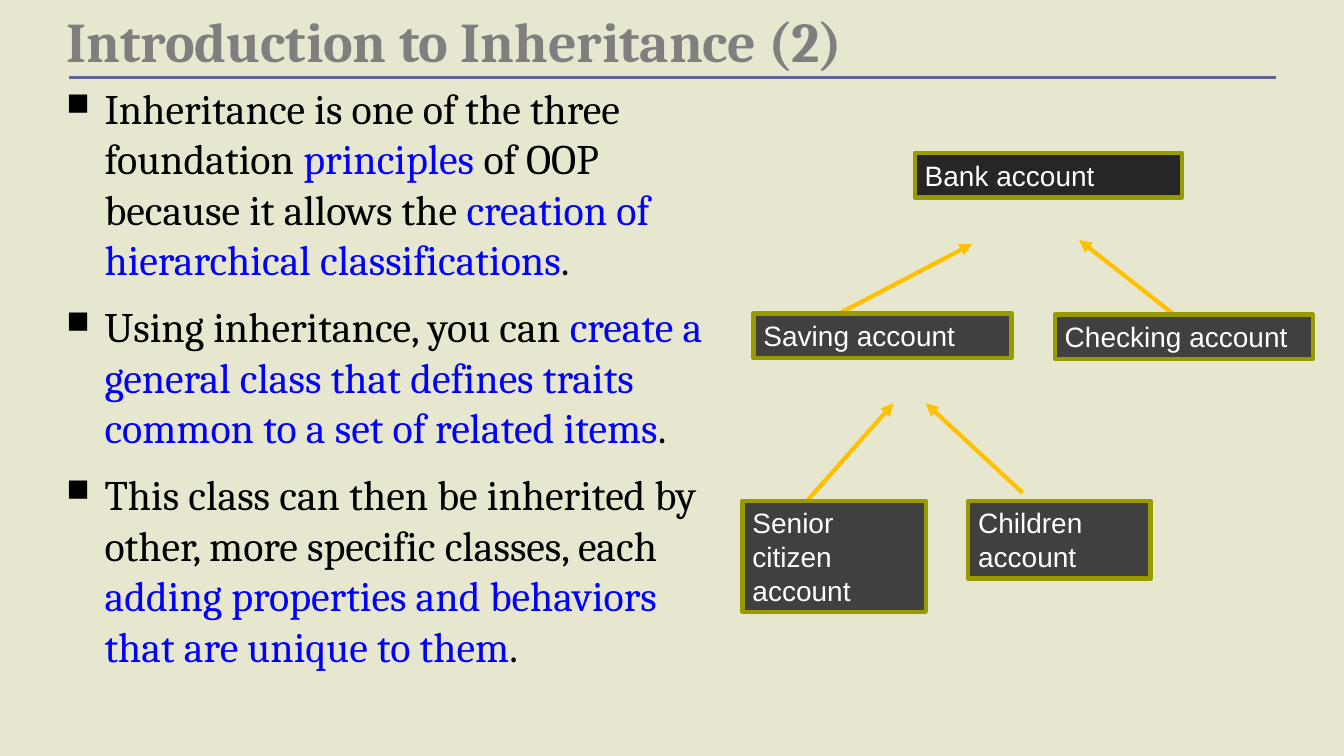
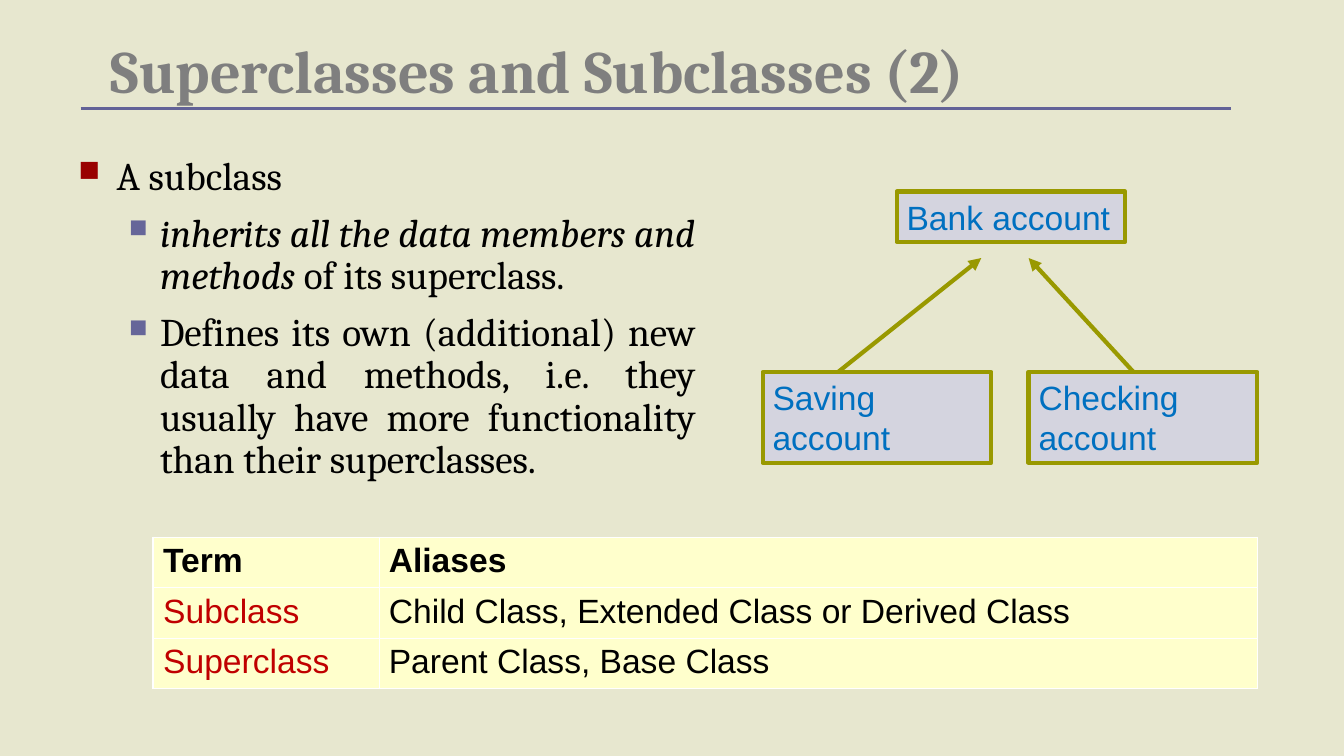
from dataclasses import dataclass
from lxml.etree import SubElement as Sub
from pptx import Presentation
from pptx.dml.color import RGBColor as Rgb
from pptx.enum.shapes import MSO_CONNECTOR as Link, MSO_SHAPE as Form
from pptx.enum.text import MSO_ANCHOR as Anchor, MSO_AUTO_SIZE as Fit, PP_ALIGN as Align
from pptx.oxml.ns import qn
from pptx.util import Inches, Pt


@dataclass(frozen=True)
class Theme:
    back: str = "E7E7CF"
    title: str = "7F7F7F"
    rule: str = "626297"
    ink: str = "000000"
    blue: str = "0000FF"
    edge: str = "999900"
    term: str = "C00000"
    cell: str = "FFFFCC"
    grid: str = "FFFFFF"
    serif: str = "Cambria"
    sans: str = "Arial"
    table: int = 24
    rule_w: float = 2.25
    edge_w: float = 3
    outer: float = 1.08
    inner: float = 0.45


@dataclass(frozen=True)
class Level:
    size: int
    left: float
    hang: float
    space: float
    color: str
    scale: int
    line: float = 1.0
    align: Align = Align.LEFT


@dataclass(frozen=True)
class Tree:
    size: int
    text: str
    arrow: str


T = Theme()
MAIN = Level(30, 0.38, 0.38, 12, "000000", 75)
TOP = Level(28, 0.38, 0.38, 21, "990000", 75, 0.9, Align.JUSTIFY)
SUB = Level(28, 0.81, 0.31, 10.5, "666699", 65, 0.9, Align.JUSTIFY)
DARK = Tree(20, "FFFFFF", "FFC000")
PALE = Tree(24, "0070C0", "999900")
ROOT, NODE, SOFT = "262626", "404040", "D4D4DF"

INTRO = dict(
    title=("Introduction to Inheritance (2)", 40, (0.56, 0.03, 8.92, 0.75)),
    rule=(0.68, 0.77, 12.67, 0.77),
    area=(0.56, 0.77, 6.66, 6.58),
    body=[
        (MAIN, [("Inheritance is one of the three foundation ", ""), ("principles ", "blue"),
                ("of OOP because it allows the ", ""),
                ("creation of hierarchical classifications", "blue"), (".", "")]),
        (MAIN, [("Using inheritance, you can ", ""),
                ("create a general class that defines traits common to a set of related items",
                 "blue"), (".", "")]),
        (MAIN, [("This class can then be inherited by other, more specific classes, each ", ""),
                ("adding properties and behaviors that are unique to them", "blue"), (".", "")]),
    ],
    tree=DARK,
    arrows=[(8.33, 3.11, 9.65, 2.42), (11.64, 3.11, 10.71, 2.38),
            (8.01, 4.97, 8.87, 4), (10.15, 4.89, 9.19, 4)],
    boxes=[("Bank account", ROOT, (9.08, 1.52, 2.65, 0.44)),
           ("Saving account", NODE, (7.48, 3.11, 2.56, 0.44)),
           ("Checking account", NODE, (10.47, 3.12, 2.56, 0.44)),
           ("Senior citizen account", NODE, (7.37, 4.97, 1.82, 1.1)),
           ("Children account", NODE, (9.61, 4.97, 1.81, 0.77))],
)

SUPER = dict(
    title=("Superclasses and Subclasses (2)", 43, (1, 0.17, 10.17, 0.92)),
    rule=(0.8, 1.08, 12.22, 1.08),
    area=(0.68, 1.5, 6.32, 3.63),
    body=[
        (TOP, [("A subclass", "")]),
        (SUB, [("inherits all the data members and methods", "ital"),
               (" of its superclass.", "")]),
        (SUB, [("Defines its own (additional) new data and methods, i.e. they usually have "
                "more functionality than their superclasses.", "")]),
    ],
    tree=PALE,
    arrows=[(8.32, 3.69, 9.74, 2.56), (11.25, 3.69, 10.21, 2.56)],
    boxes=[("Bank account", SOFT, (8.9, 1.9, 2.27, 0.5)),
           ("Saving account", SOFT, (7.57, 3.69, 2.27, 0.9)),
           ("Checking account", SOFT, (10.21, 3.69, 2.27, 0.9))],
    table=dict(
        at=(1.52, 5.33, 10.96, 1.5),
        cols=(2.24, 8.72),
        rows=[("Term", "Aliases"),
              ("Subclass", "Child Class, Extended Class or Derived Class"),
              ("Superclass", "Parent Class, Base Class")],
    ),
)


def place(spot):
    return [Inches(n) for n in spot]


def paint(fill, color):
    fill.solid()
    fill.fore_color.rgb = Rgb.from_string(color)


def style(font, name, size, color, bold=False):
    font.name, font.size, font.bold = name, Pt(size), bold
    font.color.rgb = Rgb.from_string(color)


def add_line(slide, ends, color, width, arrow=False):
    line = slide.shapes.add_connector(Link.STRAIGHT, *place(ends))
    line.line.color.rgb = Rgb.from_string(color)
    line.line.width = Pt(width)
    props = line._element.spPr
    if arrow:
        Sub(props.find(qn("a:ln")), qn("a:tailEnd"), type="triangle")
    Sub(props, qn("a:effectLst"))


def add_text(slide, spot, anchor):
    frame = slide.shapes.add_textbox(*place(spot)).text_frame
    frame.word_wrap = True
    frame.vertical_anchor = anchor
    return frame


def add_title(slide, text, size, spot):
    para = add_text(slide, spot, Anchor.BOTTOM).paragraphs[0]
    para.text = text
    para.line_spacing = 0.8
    style(para.font, T.serif, size, T.title, True)


def add_bullet(para, level):
    props = para._p.get_or_add_pPr()
    props.set("marL", str(Inches(level.left)))
    props.set("indent", str(-Inches(level.hang)))
    Sub(Sub(props, qn("a:buClr")), qn("a:srgbClr"), val=level.color)
    Sub(props, qn("a:buSzPct"), val=str(level.scale * 1000))
    Sub(props, qn("a:buChar"), char="■")


def add_body(slide, spot, items):
    frame = add_text(slide, spot, Anchor.TOP)
    for i, (level, parts) in enumerate(items):
        para = frame.add_paragraph() if i else frame.paragraphs[0]
        add_bullet(para, level)
        para.alignment = level.align
        para.line_spacing = level.line
        para.space_before = Pt(level.space if i else 0)
        style(para.font, T.serif, level.size, T.ink)
        for text, mark in parts:
            run = para.add_run()
            run.text = text
            if mark == "blue":
                run.font.color.rgb = Rgb.from_string(T.blue)
            elif mark == "ital":
                run.font.italic = True


def add_box(slide, tree, text, fill, spot):
    box = slide.shapes.add_shape(Form.RECTANGLE, *place(spot))
    box.shadow.inherit = False
    paint(box.fill, fill)
    box.line.color.rgb = Rgb.from_string(T.edge)
    box.line.width = Pt(T.edge_w)
    frame = box.text_frame
    frame.word_wrap = True
    frame.auto_size = Fit.SHAPE_TO_FIT_TEXT
    frame.vertical_anchor = Anchor.TOP
    para = frame.paragraphs[0]
    para.text = text
    para.alignment = Align.LEFT
    style(para.font, T.sans, tree.size, tree.text)


def add_edges(cell, outer):
    props = cell._tc.get_or_add_tcPr()
    for side, out in zip("LRTB", outer):
        width = Pt(T.outer if out else T.inner)
        edge = Sub(props, qn("a:ln" + side), w=str(width))
        Sub(Sub(edge, qn("a:solidFill")), qn("a:srgbClr"), val=T.grid)


def add_grid(slide, at, cols, rows):
    grid = slide.shapes.add_table(len(rows), len(cols), *place(at)).table
    for col, width in zip(grid.columns, cols):
        col.width = Inches(width)
    for r, row in enumerate(rows):
        for c, text in enumerate(row):
            cell = grid.cell(r, c)
            add_edges(cell, (c == 0, c == len(cols) - 1, r == 0, r == len(rows) - 1))
            paint(cell.fill, T.cell)
            para = cell.text_frame.paragraphs[0]
            para.text = text
            color = T.term if r and not c else T.ink
            style(para.font, T.sans, T.table, color, r == 0)


def add_slide(deck, page):
    slide = deck.slides.add_slide(deck.slide_layouts[6])
    paint(slide.background.fill, T.back)
    add_title(slide, *page["title"])
    add_body(slide, page["area"], page["body"])
    if "table" in page:
        add_grid(slide, **page["table"])
    tree = page["tree"]
    for ends in page["arrows"]:
        add_line(slide, ends, tree.arrow, T.edge_w, True)
    for box in page["boxes"]:
        add_box(slide, tree, *box)
    add_line(slide, page["rule"], T.rule, T.rule_w)


def main():
    deck = Presentation()
    deck.slide_width, deck.slide_height = place((13.34, 7.5))
    for page in (INTRO, SUPER):
        add_slide(deck, page)
    deck.save("out.pptx")


if __name__ == "__main__":
    main()
